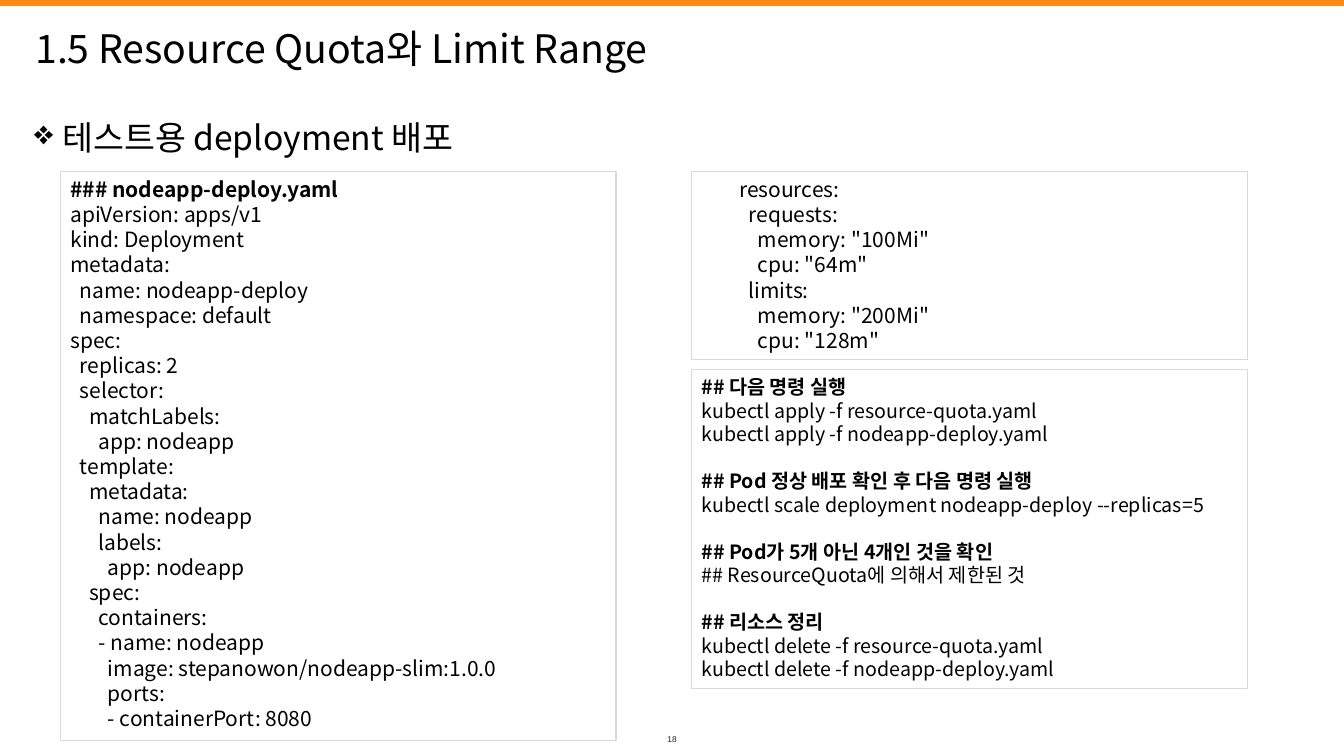
"""Build the slide on testing a deployment against a resource quota."""
from dataclasses import dataclass

from lxml import etree
from pptx import Presentation
from pptx import util as u
from pptx.dml.color import RGBColor
from pptx.enum import shapes, text
from pptx.oxml.ns import qn

FONT = "Noto Sans CJK KR"
LINE_RATIO = 1.2
LEFT_COLUMN, RIGHT_COLUMN = 0.6, 6.86
BOX_WIDTH = 5.51

DEPLOY_YAML = """### nodeapp-deploy.yaml
apiVersion: apps/v1
kind: Deployment
metadata:
  name: nodeapp-deploy
  namespace: default
spec:
  replicas: 2
  selector:
    matchLabels:
      app: nodeapp
  template:
    metadata:
      name: nodeapp
      labels:
        app: nodeapp
    spec:
      containers:
      - name: nodeapp
        image: stepanowon/nodeapp-slim:1.0.0
        ports:
        - containerPort: 8080"""

RESOURCES_YAML = """        resources:
          requests:
            memory: "100Mi"
            cpu: "64m"
          limits:
            memory: "200Mi"
            cpu: "128m\""""

APPLY = """## 다음 명령 실행
kubectl apply -f resource-quota.yaml
kubectl apply -f nodeapp-deploy.yaml"""

SCALE = """## Pod 정상 배포 확인 후 다음 명령 실행
kubectl scale deployment nodeapp-deploy --replicas=5"""

CHECK = """## Pod가 5개 아닌 4개인 것을 확인
## ResourceQuota에 의해서 제한된 것"""

CLEAN_UP = """## 리소스 정리
kubectl delete -f resource-quota.yaml
kubectl delete -f nodeapp-deploy.yaml"""


@dataclass(frozen=True)
class CodeBox:
    """A bordered box of code sections, each opening with a heading if titled."""
    left: float
    top: float
    height: float
    size: float
    sections: tuple[str, ...]
    titled: bool = True


CODE_BOXES = (
    CodeBox(LEFT_COLUMN, 1.7, 5.65, 15, (DEPLOY_YAML,)),
    CodeBox(RIGHT_COLUMN, 1.7, 1.87, 15, (RESOURCES_YAML,), titled=False),
    CodeBox(RIGHT_COLUMN, 3.67, 3.16, 14, (APPLY, SCALE, CHECK, CLEAN_UP)),
)


def color(value: str) -> RGBColor:
    """Turn a hex string into a colour."""
    return RGBColor.from_string(value)


def set_all(target, formats: dict) -> None:
    """Set every attribute in a dict of format values."""
    for name, value in formats.items():
        setattr(target, name, value)


def place(sp, left: float, top: float, width: float, height: float) -> None:
    """Move and size a shape in inches."""
    set_all(sp, {"left": u.Inches(left), "top": u.Inches(top),
                 "width": u.Inches(width), "height": u.Inches(height)})


def add_line(p, line: str, size: float, bold: bool = False,
             name: str = FONT, fill: str = "000000") -> None:
    """Write one line of text into a paragraph."""
    p.line_spacing = u.Pt(size * LINE_RATIO)
    r = p.add_run()
    r.text = line
    set_all(r.font, {"size": u.Pt(size), "bold": bold, "name": name})
    r.font.color.rgb = color(fill)
    etree.SubElement(r.font._element, qn("a:ea"), typeface=name)


def add_rect(s, left: float, top: float, width: float, height: float, fill: str):
    """Add a flat rectangle without an outline."""
    sp = s.shapes.add_shape(shapes.MSO_SHAPE.RECTANGLE, 0, 0, 0, 0)
    place(sp, left, top, width, height)
    sp.shadow.inherit = False
    sp.fill.solid()
    sp.fill.fore_color.rgb = color(fill)
    sp.line.fill.background()
    return sp


def add_code_box(s, box: CodeBox) -> None:
    """Draw a code box with a line's gap between its sections."""
    sp = add_rect(s, box.left, box.top, BOX_WIDTH, box.height, "FFFFFF")
    sp.line.color.rgb = color("D9D9D9")
    sp.line.width = u.Pt(0.75)
    tf = sp.text_frame
    set_all(tf, {"word_wrap": True, "vertical_anchor": text.MSO_ANCHOR.TOP})
    for i, section in enumerate(box.sections):
        for j, line in enumerate(section.splitlines()):
            p = tf.add_paragraph() if i or j else tf.paragraphs[0]
            p.alignment = text.PP_ALIGN.LEFT
            if i and not j:
                p.space_before = u.Pt(box.size * LINE_RATIO)
            add_line(p, line, box.size, box.titled and not j)


def add_title(s) -> None:
    """Place and fill the title placeholder."""
    sp = s.shapes.title
    place(sp, 0.25, 0.15, 12, 0.65)
    tf = sp.text_frame
    set_all(tf, {"word_wrap": True, "vertical_anchor": text.MSO_ANCHOR.MIDDLE})
    p = tf.paragraphs[0]
    p.alignment = text.PP_ALIGN.LEFT
    add_line(p, "1.5 Resource Quota와 Limit Range", 28)


def add_subtitle(s) -> None:
    """Add the bulleted line above the code boxes."""
    sp = s.shapes.add_textbox(0, 0, 0, 0)
    place(sp, 0.24, 1.11, 12.85, 0.55)
    sp.text_frame.word_wrap = True
    p = sp.text_frame.paragraphs[0]
    pPr = p._p.get_or_add_pPr()
    pPr.set("marL", str(u.Inches(0.28)))
    pPr.set("indent", str(u.Inches(-0.28)))
    etree.SubElement(pPr, qn("a:buChar"), char="❖")
    add_line(p, "테스트용 deployment 배포", 24)


def add_page_number(s) -> None:
    """Add the small centred page number."""
    sp = s.shapes.add_textbox(0, 0, 0, 0)
    place(sp, 6.47, 7.25, 0.39, 0.17)
    tf = sp.text_frame
    set_all(tf, {"word_wrap": False, "vertical_anchor": text.MSO_ANCHOR.MIDDLE,
                 "margin_left": 0, "margin_right": 0,
                 "margin_top": 0, "margin_bottom": 0})
    p = tf.paragraphs[0]
    p.alignment = text.PP_ALIGN.CENTER
    add_line(p, "18", 6, name="Arial", fill="262626")


def main() -> None:
    """Build and save the presentation."""
    prs = Presentation()
    set_all(prs, {"slide_width": u.Inches(13.33), "slide_height": u.Inches(7.5)})
    s = prs.slides.add_slide(prs.slide_layouts[5])
    add_page_number(s)
    add_rect(s, 0, 0, 13.33, 0.06, "FC8919")
    add_title(s)
    add_subtitle(s)
    for box in CODE_BOXES:
        add_code_box(s, box)
    prs.save("out.pptx")


if __name__ == "__main__":
    main()
